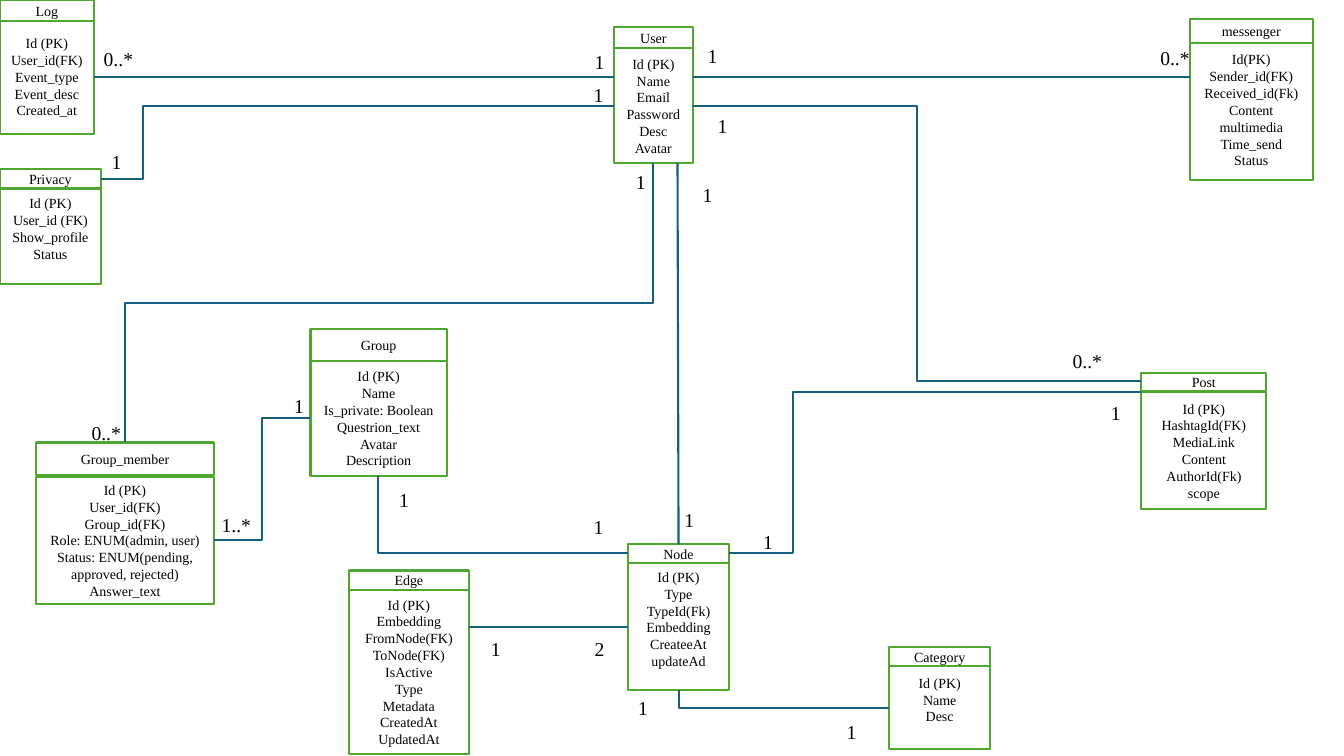
from lxml.etree import SubElement
from pptx import Presentation
from pptx.dml.color import RGBColor
from pptx.enum.shapes import MSO_CONNECTOR, MSO_SHAPE
from pptx.enum.text import MSO_ANCHOR, PP_ALIGN
from pptx.oxml.ns import qn
from pptx.util import Emu, Pt

EMU_PER_PX = 9144
GREEN = "4EA72E"
BLUE = "156082"
BLACK = "000000"
WHITE = "FFFFFF"
LABEL_HEIGHT = 34

ENTITIES = {
    "User": (609, 27, 78, 21, 48, 114, 5,
             ["Id (PK)", "Name", "Email", "Password", "Desc", "Avatar"]),
    "Group": (308, 326, 135, 32, 358, 114, 5,
              ["Id (PK)", "Name", "Is_private: Boolean", "Questrion_text", "Avatar",
               "Description"]),
    "Log": (0, 0, 93, 21, 19, 114, 5,
            ["Id (PK)", "User_id(FK)", "Event_type", "Event_desc", "Created_at"]),
    "messenger": (1180, 19, 122, 24, 39, 140, 5,
                  ["Id(PK)", "Sender_id(FK)", "Received_id(Fk)", "Content", "multimedia",
                   "Time_send", "Status"]),
    "Privacy": (0, 168, 100, 19, 187, 95, 21,
                ["Id (PK)", "User_id (FK)", "Show_profile", "Status"]),
    "Node": (623, 540, 100, 19, 559, 126, 21,
             ["Id (PK)", "Type", "TypeId(Fk)", "Embedding", "CreateeAt", "updateAd"]),
    "Group_member": (36, 439, 176, 32, 473, 126, 5,
                     ["Id (PK)", "User_id(FK)", "Group_id(FK)", "Role: ENUM(admin, user)",
                      "Status: ENUM(pending, approved, rejected)", "Answer_text"]),
    "Category": (882, 642, 100, 19, 661, 82, 21, ["Id (PK)", "Name", "Desc"]),
    "Post": (1132, 370, 124, 18, 389, 116, 5,
             ["Id (PK)", "HashtagId(FK)", "MediaLink", "Content", "AuthorId(Fk)", "scope"]),
    "Edge": (346, 566, 119, 19, 585, 163, 5,
             ["Id (PK)", "Embedding", "FromNode(FK)", "ToNode(FK)", "IsActive", "Type",
              "Metadata", "CreatedAt", "UpdatedAt"]),
}

SIDEWAYS_ELBOWS = [
    ((100, 178), (609, 105), 8250),
    ((687, 105), (1132, 378), 50000),
    ((212, 536), (308, 415), 50000),
    ((723, 549), (1132, 389), 15600),
]

DOWNWARD_ELBOWS = [
    ((648, 162), (124, 439), "bentConnector3"),
    ((375, 472), (623, 549), "bentConnector2"),
    ((673, 685), (882, 702), "bentConnector2"),
]

CARDINALITIES = {
    "1": [(692, 39), (580, 45), (621, 164), (747, 521), (1092, 393), (101, 144),
          (282, 386), (623, 685), (830, 709), (579, 77), (477, 627), (579, 506),
          (386, 479), (669, 499), (687, 177), (702, 108)],
    "2": [(580, 627)],
    "0..*": [(1141, 41), (93, 42), (81, 413), (1054, 341)],
    "1..*": [(210, 504)],
}


def px(length):
    return Emu(length * EMU_PER_PX)


def color(hex_string):
    return RGBColor.from_string(hex_string)


def write(frame, text, size=10, align=PP_ALIGN.CENTER, anchor=MSO_ANCHOR.MIDDLE,
          right=10, bottom=5):
    frame.word_wrap = True
    frame.vertical_anchor = anchor
    frame.margin_left, frame.margin_top = px(10), px(5)
    frame.margin_right, frame.margin_bottom = px(right), px(bottom)
    for index, line in enumerate(text.split("\n")):
        para = frame.add_paragraph() if index else frame.paragraphs[0]
        para.alignment = align
        span = para.add_run()
        span.text = line
        span.font.name = "Times New Roman"
        span.font.size = Pt(size)
        span.font.color.rgb = color(BLACK)


def add_box(page, left, top, width, height, text, bottom=5):
    box = page.shapes.add_shape(MSO_SHAPE.RECTANGLE, px(left), px(top), px(width), px(height))
    box.shadow.inherit = False
    box.fill.solid()
    box.fill.fore_color.rgb = color(WHITE)
    box.line.color.rgb = color(GREEN)
    box.line.width = Pt(1.5)
    write(box.text_frame, text, bottom=bottom)
    return box


def add_entity(page, name, left, top, width, header_height, body_top, body_height, bottom,
               fields):
    body = add_box(page, left, body_top, width, body_height, "\n".join(fields), bottom)
    header = add_box(page, left, top, width, header_height, name)
    return header, body


def add_link(page, start, end, kind=MSO_CONNECTOR.STRAIGHT):
    link = page.shapes.add_connector(kind, px(start[0]), px(start[1]), px(end[0]), px(end[1]))
    link.line.color.rgb = color(BLUE)
    link.line.width = Pt(1.5)
    SubElement(link._element.spPr, qn("a:effectLst"))
    return link


def add_sideways_elbow(page, start, end, bend):
    link = add_link(page, start, end, MSO_CONNECTOR.ELBOW)
    geometry = link._element.spPr.find(qn("a:prstGeom"))
    guides = geometry.find(qn("a:avLst"))
    if guides is None:
        guides = SubElement(geometry, qn("a:avLst"))
    SubElement(guides, qn("a:gd"), name="adj1", fmla=f"val {bend}")


def add_downward_elbow(page, start, end, preset):
    link = add_link(page, start, end, MSO_CONNECTOR.ELBOW)
    width, height = link.width, link.height
    link.left += (width - height) // 2
    link.top += (height - width) // 2
    link.width, link.height = height, width
    properties = link._element.spPr
    properties.find(qn("a:prstGeom")).set("prst", preset)
    transform = properties.find(qn("a:xfrm"))
    to_right = end[0] > start[0]
    transform.set("rot", str((270 if to_right else 90) * 60000))
    transform.set("flipH", "1" if to_right else "0")


def add_cardinality(page, left, top, text):
    width = 30 if len(text) == 1 else 50
    label = page.shapes.add_textbox(px(left), px(top), px(width), px(LABEL_HEIGHT))
    write(label.text_frame, text, size=14, align=PP_ALIGN.LEFT, anchor=MSO_ANCHOR.TOP, right=0)


def main():
    deck = Presentation()
    deck.slide_width, deck.slide_height = px(1333), px(750)
    page = deck.slides.add_slide(deck.slide_layouts[6])

    boxes = {name: add_entity(page, name, *layout) for name, layout in ENTITIES.items()}
    node_header, node_body = boxes["Node"]

    log_user = add_link(page, (93, 76), (609, 76))
    log_user.begin_connect(boxes["Log"][1], 3)
    add_link(page, (687, 76), (1180, 76))
    node_user = add_link(page, (673, 540), (672, 162))
    node_user.begin_connect(node_header, 0)
    node_edge = add_link(page, (623, 622), (465, 622))
    node_edge.begin_connect(node_body, 1)

    for start, end, bend in SIDEWAYS_ELBOWS:
        add_sideways_elbow(page, start, end, bend)
    for start, end, preset in DOWNWARD_ELBOWS:
        add_downward_elbow(page, start, end, preset)
    for text, places in CARDINALITIES.items():
        for left, top in places:
            add_cardinality(page, left, top, text)

    deck.save("out.pptx")


if __name__ == "__main__":
    main()
